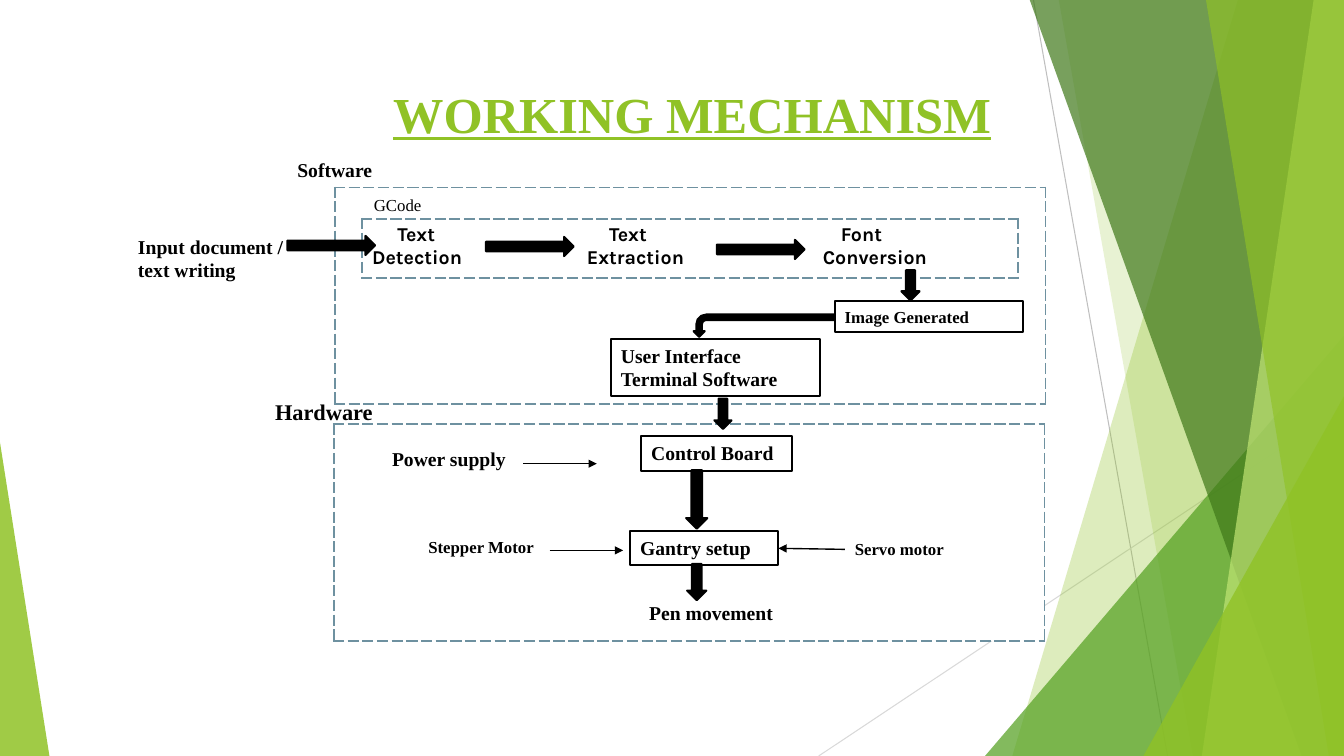
import pptx
import pptx.util
import pptx.dml.color
import pptx.enum.shapes
import pptx.enum.text
import pptx.oxml
import pptx.oxml.ns
from lxml import etree

Inches, Pt = pptx.util.Inches, pptx.util.Pt
SHAPE = pptx.enum.shapes.MSO_SHAPE
qn = pptx.oxml.ns.qn
BLACK, WHITE, GREEN, DASH = "000000", "FFFFFF", "90C226", "6E91A0"


def rgb(value):
    return pptx.dml.color.RGBColor.from_string(value)


class Diagram:
    def __init__(self, slide, font="Times New Roman"):
        self.s = slide
        self.font = font

    def add_run(self, p, text, color=BLACK, **formats):
        r = p.add_run()
        r.text = text
        for key, value in {"name": self.font, "bold": True, **formats}.items():
            setattr(r.font, key, value)
        r.font.color.rgb = rgb(color)

    def set_text(self, sp, text, size, color=BLACK, **formats):
        tf = sp.text_frame
        tf.word_wrap = True
        tf.auto_size = pptx.enum.text.MSO_AUTO_SIZE.NONE
        tf.vertical_anchor = pptx.enum.text.MSO_ANCHOR.TOP
        p = tf.paragraphs[0]
        p.alignment = pptx.enum.text.PP_ALIGN.LEFT
        self.add_run(p, text, color, size=Pt(size), **formats)

    def title(self, text, *box):
        sp = self.s.shapes.title
        sp.left, sp.top, sp.width, sp.height = map(Inches, box)
        self.set_text(sp, text, 36, GREEN, underline=True)

    def label(self, text, size, *box, **formats):
        sp = self.s.shapes.add_textbox(*map(Inches, box))
        self.set_text(sp, text, size, **formats)
        return sp

    def paint(self, sp, fill, line=None, alpha=None):
        """Fill a shape, with an opacity in percent, and outline it or not."""
        sp.shadow.inherit = False
        sp.fill.solid()
        sp.fill.fore_color.rgb = rgb(fill)
        if alpha:
            color = sp._element.spPr.find(".//" + qn("a:srgbClr"))
            etree.SubElement(color, qn("a:alpha")).set("val", str(alpha * 1000))
        if line:
            sp.line.color.rgb = rgb(line)
            sp.line.width = Pt(1.5)
        else:
            sp.line.fill.background()

    def box(self, text, size, *box):
        sp = self.s.shapes.add_shape(SHAPE.RECTANGLE, *map(Inches, box))
        self.paint(sp, WHITE, BLACK)
        self.set_text(sp, text, size)
        return sp

    def block_arrow(self, *box, kind=SHAPE.RIGHT_ARROW, rotation=0):
        sp = self.s.shapes.add_shape(kind, *map(Inches, box))
        self.paint(sp, BLACK, BLACK)
        sp.rotation = rotation
        return sp

    def triangle(self, box, apex, fill, alpha):
        sp = self.s.shapes.add_shape(SHAPE.ISOSCELES_TRIANGLE, *map(Inches, box))
        sp.adjustments[0] = apex
        self.paint(sp, fill, alpha=alpha)

    def band(self, top_left, bottom_left, fill, alpha):
        """Draw a slanted band that runs to the slide's right edge."""
        top, bottom, right = Inches(-0.01), Inches(7.5), Inches(13.33)
        fb = self.s.shapes.build_freeform(Inches(top_left), top)
        fb.add_line_segments(
            [(right, top), (right, bottom), (Inches(bottom_left), bottom)])
        self.paint(fb.convert_to_shape(), fill, alpha=alpha)

    def line(self, *ends, color=BLACK, width=1, arrow=True):
        cx = self.s.shapes.add_connector(
            pptx.enum.shapes.MSO_CONNECTOR.STRAIGHT, *map(Inches, ends))
        cx.line.color.rgb = rgb(color)
        cx.line.width = Pt(width)
        if arrow:
            ln = cx.line._get_or_add_ln()
            etree.SubElement(ln, qn("a:tailEnd")).set("type", "triangle")
        etree.SubElement(cx._element.spPr, qn("a:effectLst"))
        return cx

    def dashed_frame(self, *box):
        """Add a one-cell table with dashed borders and return its cell."""
        table = self.s.shapes.add_table(1, 1, *map(Inches, box)).table
        table.first_row = table.horz_banding = False
        cell = table.cell(0, 0)
        tc_pr = cell._tc.get_or_add_tcPr()
        for side in "LRTB":
            ln = etree.SubElement(tc_pr, qn("a:ln" + side), w=str(Pt(1.5)))
            fill = etree.SubElement(ln, qn("a:solidFill"))
            etree.SubElement(fill, qn("a:srgbClr"), val=DASH)
            etree.SubElement(ln, qn("a:prstDash"), val="dash")
        cell.fill.solid()
        cell.fill.fore_color.rgb = rgb(WHITE)
        return cell

    def tabbed(self, p, words, stops):
        """Set words at tab stops in inches; a spare word starts at the margin."""
        tabs = etree.SubElement(p._p.get_or_add_pPr(), qn("a:tabLst"))
        for stop in stops:
            etree.SubElement(tabs, qn("a:tab"), pos=str(Inches(stop)), algn="l")
        lead = "\t" if len(stops) == len(words) else ""
        self.add_run(p, lead + "\t".join(words), name="Karla", size=Pt(14))


def draw_background(d):
    d.line(10.25, 0, 11.58, 7.5, color="BFBFBF", width=0.75, arrow=False)
    d.line(13.33, 4.03, 8.12, 7.5, color="D9D9D9", width=0.75, arrow=False)
    d.band(12.28, 10.04, GREEN, 30)
    d.band(10.5, 11.83, GREEN, 20)
    d.triangle((9.77, 3.33, 3.56, 4.17), 1, "54A021", 72)
    d.band(10.21, 12.91, "3F7819", 70)
    d.band(13.03, 11.92, "C0E474", 70)
    d.band(11.96, 13.18, GREEN, 65)
    d.triangle((11.34, 3.93, 1.99, 3.57), 1, GREEN, 80)
    d.triangle((0, 4.39, 0.49, 3.11), 0, GREEN, 85)


def draw_software(d):
    d.dashed_frame(3.32, 1.86, 7.05, 2.15)
    tf = d.dashed_frame(3.59, 2.17, 6.51, 0.59).text_frame
    d.tabbed(tf.paragraphs[0], ["Text", "Text", "Font"], [0.25, 2.35, 4.65])
    d.tabbed(tf.add_paragraph(), ["Detection", "Extraction", "Conversion"],
             [2.13, 4.47])
    d.label("GCode", 12, 3.61, 1.88, 1.95, 0.3, bold=False)
    d.label("Software", 14, 2.85, 1.52, 1.79, 0.34)
    d.label("Input document / text writing", 14, 1.27, 2.28, 1.65, 0.57)
    d.box("Image Generated", 12, 8.28, 2.99, 1.87, 0.3)
    d.box("User Interface Terminal Software", 14, 6.06, 3.36, 2.07, 0.57)
    for left, top in ((2.85, 2.34), (4.82, 2.35), (7.11, 2.38)):
        d.block_arrow(left, top, 0.87, 0.19)
    bent = d.block_arrow(7.47, 2.53, 0.22, 1.4, kind=SHAPE.BENT_ARROW, rotation=90)
    bent._element.spPr.find(qn("a:xfrm")).set("flipV", "1")


def draw_hardware(d):
    d.label("Hardware", 16, 2.63, 3.9, 1.34, 0.37)
    d.box("Control Board", 14, 6.36, 4.33, 1.5, 0.34)
    gantry = d.box("Gantry setup", 14, 6.25, 5.27, 1.47, 0.34)
    d.label("Power supply", 14, 3.79, 4.38, 1.5, 0.34)
    d.label("Stepper Motor", 12, 4.15, 5.28, 1.6, 0.3)
    servo = d.label("Servo motor", 12, 8.38, 5.3, 1.7, 0.3)
    d.label("Pen movement", 14, 6.34, 5.91, 2.61, 0.34)
    d.line(5.19, 4.6, 5.92, 4.6)
    d.line(5.45, 5.46, 6.18, 5.46)
    servo_line = d.line(8.38, 5.45, 7.72, 5.45)
    servo_line.begin_connect(servo, 1)
    servo_line.end_connect(gantry, 3)


def main():
    prs = pptx.Presentation()
    prs.slide_width, prs.slide_height = Inches(13.33), Inches(7.5)
    d = Diagram(prs.slides.add_slide(prs.slide_layouts[5]))
    draw_background(d)
    d.title("WORKING MECHANISM", 3.8, 0.77, 6.79, 0.71)
    d.dashed_frame(3.31, 4.21, 7.05, 2.15)
    draw_software(d)
    draw_hardware(d)
    for down_arrow in ((8.88, 2.74, 0.3, 0.18), (7.02, 4.02, 0.3, 0.17),
                       (6.62, 4.85, 0.58, 0.21), (6.73, 5.68, 0.36, 0.19)):
        d.block_arrow(*down_arrow, rotation=90)
    prs.save("out.pptx")


if __name__ == "__main__":
    main()
